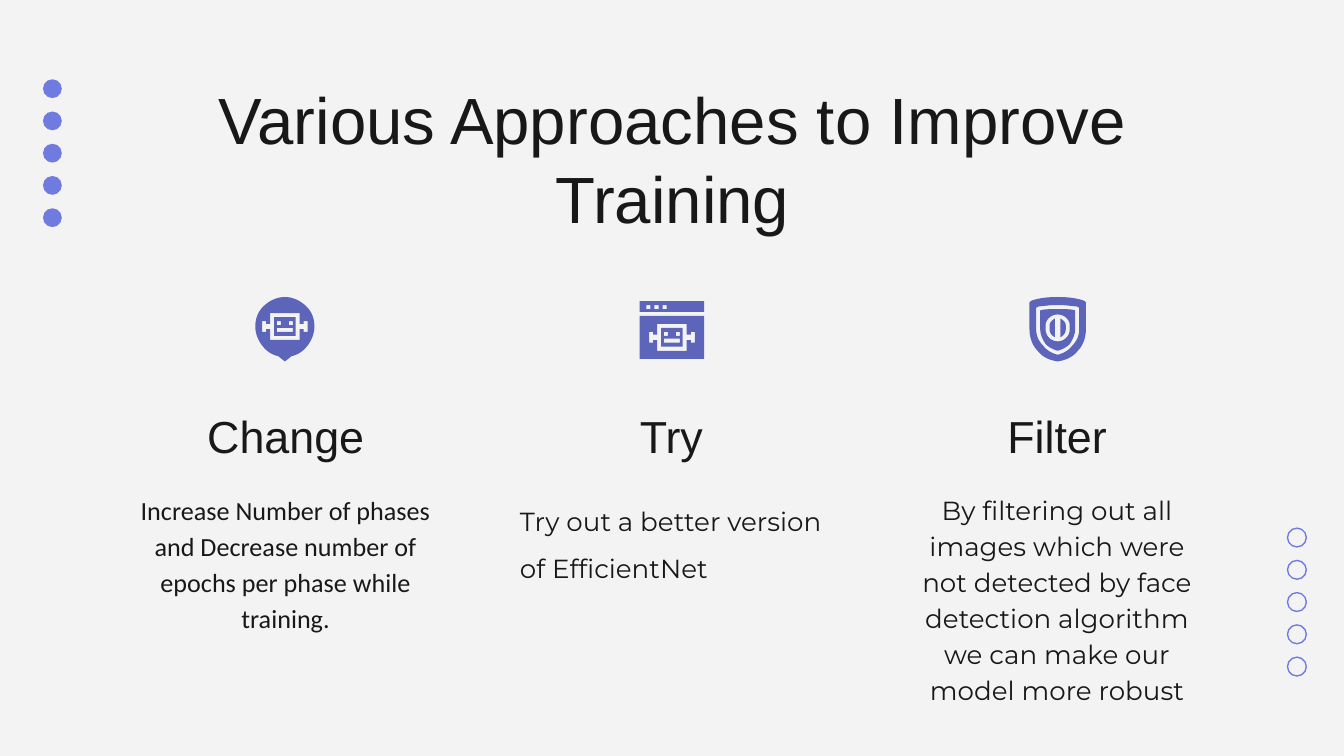
"""Build the slide on approaches to improve training."""
from pptx import Presentation
from pptx import util as u
from pptx.dml.color import RGBColor
from pptx.enum import shapes, text

COLORS = {"background": "F3F3F3", "ink": "181818", "dot": "707BE0", "icon": "5D65BB"}
COLUMN_LEFT, COLUMN_STEP, COLUMN_WIDTH = 0.9, 2.87, 2.45
DOT_SIZE, DOT_STEP = 0.14, 0.24
CENTER, LEFT = text.PP_ALIGN.CENTER, text.PP_ALIGN.LEFT
TOP, BOTTOM = text.MSO_ANCHOR.TOP, text.MSO_ANCHOR.BOTTOM

COLUMNS = [
    ("Change", "Increase Number of phases and Decrease number of epochs per phase while training.",
     "Calibri", CENTER, 1.15),
    ("Try", "Try out a better version of EfficientNet", "Montserrat", LEFT, 1.5),
    ("Filter", "By filtering out all images which were not detected by face detection "
     "algorithm we can make our model more robust", "Montserrat", CENTER, 1.15),
]

ROBOT_HALF = [(0, -0.1), (0.11, -0.1), (0.11, -0.02), (0.14, -0.02), (0.14, -0.04),
              (0.17, -0.04), (0.17, 0.04), (0.14, 0.04), (0.14, 0.02), (0.11, 0.02),
              (0.11, 0.1), (0, 0.1)]
BUBBLE_HALF = [(0, -0.22), (0.06, -0.22, 0.12, -0.19, 0.16, -0.15),
               (0.2, -0.11, 0.22, -0.06, 0.22, 0), (0.22, 0.05, 0.2, 0.1, 0.17, 0.14),
               (0.14, 0.18, 0.1, 0.21, 0.05, 0.22), (0, 0.26)]
SHIELD_HALF = [(0, -0.24), (0.14, -0.24, 0.2, -0.21, 0.2, -0.21), (0.21, -0.2), (0.21, 0),
               (0.21, 0.06, 0.19, 0.12, 0.15, 0.16), (0.11, 0.21, 0.06, 0.23, 0, 0.24)]
RIM_HALF = [(0, -0.18), (0.07, -0.18, 0.12, -0.17, 0.14, -0.17), (0.16, -0.16), (0.16, 0),
            (0.16, 0.05, 0.14, 0.09, 0.11, 0.12), (0.08, 0.16, 0.04, 0.18, 0, 0.19)]
PLATE_HALF = [(0, -0.15), (0.06, -0.15, 0.1, -0.15, 0.13, -0.14), (0.13, 0),
              (0.13, 0.04, 0.11, 0.08, 0.09, 0.11), (0.07, 0.13, 0.04, 0.15, 0, 0.16)]
RING_HALF = [(0, -0.11), (0.05, -0.11, 0.09, -0.07, 0.09, -0.03), (0.09, 0),
             (0.09, 0.05, 0.05, 0.09, 0, 0.09)]
COIN_SIDE = [(0.02, -0.08), (0.02, 0.06), (0.04, 0.05, 0.06, 0.03, 0.06, 0), (0.06, -0.03),
             (0.06, -0.05, 0.04, -0.07, 0.02, -0.08)]


def color(name):
    """Return a palette colour."""
    return RGBColor.from_string(COLORS[name])


def trace(steps, samples=10):
    """Turn points and cubic curves into a list of points."""
    points = []
    for step in steps:
        if len(step) == 2:
            points.append(step)
            continue
        start = points[-1]
        for index in range(1, samples + 1):
            t = index / samples
            s = 1 - t
            points.append(tuple(
                s**3 * start[axis] + 3 * s * s * t * step[axis]
                + 3 * s * t * t * step[axis + 2] + t**3 * step[axis + 4]
                for axis in (0, 1)))
    return points


def mirror(points):
    """Reflect points across the vertical axis."""
    return [(-x, y) for x, y in reversed(points)]


def symmetric(half):
    """Close a right half with its reflection."""
    points = trace(half)
    return points + mirror(points)


def box(left, top, right, bottom):
    """Return the corners of a rectangle."""
    return [(left, top), (right, top), (right, bottom), (left, bottom)]


def add_outline(slide, center, *contours):
    """Draw a filled outline whose inner contours are holes."""
    placed = [[(u.Inches(center[0] + x), u.Inches(center[1] + y)) for x, y in contour]
              for contour in contours]
    builder = slide.shapes.build_freeform(*placed[0][0], scale=1.0)
    for index, contour in enumerate(placed):
        if index:
            builder.move_to(*contour[0])
        builder.add_line_segments(contour[1:], close=True)
    shape = builder.convert_to_shape()
    shape.shadow.inherit = False
    shape.fill.solid()
    shape.fill.fore_color.rgb = color("icon")
    shape.line.fill.background()


def add_robot_face(slide, center):
    """Draw the robot face with its eyes and mouth cut out."""
    add_outline(slide, center, box(-0.08, -0.07, 0.08, 0.07), box(-0.06, -0.04, -0.03, -0.01),
                box(0.03, -0.04, 0.06, -0.01), box(-0.06, 0.01, 0.06, 0.04))


def add_bubble_icon(slide, center):
    """Draw a speech bubble holding a robot."""
    add_outline(slide, center, symmetric(BUBBLE_HALF), symmetric(ROBOT_HALF))
    add_robot_face(slide, center)


def add_window_icon(slide, center):
    """Draw a browser window holding a robot."""
    buttons = [box(x, -0.24, x + 0.03, -0.21) for x in (-0.19, -0.13, -0.07)]
    add_outline(slide, center, box(-0.24, -0.27, 0.24, -0.19), *buttons)
    add_outline(slide, center, box(-0.24, -0.16, 0.24, 0.16), symmetric(ROBOT_HALF))
    add_robot_face(slide, center)


def add_shield_icon(slide, center):
    """Draw a shield with a split coin."""
    add_outline(slide, center, symmetric(SHIELD_HALF), symmetric(RIM_HALF))
    add_outline(slide, center, symmetric(PLATE_HALF), symmetric(RING_HALF))
    side = trace(COIN_SIDE)
    for half in (side, mirror(side)):
        add_outline(slide, center, half)


def add_dots(slide, left, top, filled):
    """Draw a column of five dots."""
    for index in range(5):
        shape = slide.shapes.add_shape(
            shapes.MSO_SHAPE.OVAL, u.Inches(left), u.Inches(top + index * DOT_STEP),
            u.Inches(DOT_SIZE), u.Inches(DOT_SIZE))
        shape.shadow.inherit = False
        if filled:
            shape.fill.solid()
            shape.fill.fore_color.rgb = color("dot")
            shape.line.fill.background()
        else:
            shape.fill.background()
            shape.line.color.rgb = color("dot")
            shape.line.width = u.Pt(0.75)


def add_text(slide, bounds, words, size, font, align=CENTER, spacing=1.15, anchor=TOP):
    """Add a wrapped text box with one paragraph."""
    frame = slide.shapes.add_textbox(*map(u.Inches, bounds)).text_frame
    frame.word_wrap = True
    frame.vertical_anchor = anchor
    frame.margin_left = frame.margin_right = u.Inches(0.1)
    frame.margin_top = frame.margin_bottom = u.Inches(0.1)
    paragraph = frame.paragraphs[0]
    paragraph.text = words
    paragraph.alignment = align
    paragraph.line_spacing = spacing
    paragraph.font.size = u.Pt(size)
    paragraph.font.name = font
    paragraph.font.color.rgb = color("ink")


def main():
    """Build and save the slide."""
    presentation = Presentation()
    presentation.slide_width = u.Inches(10)
    presentation.slide_height = u.Inches(10) * 9 // 16
    slide = presentation.slides.add_slide(presentation.slide_layouts[6])
    slide.background.fill.solid()
    slide.background.fill.fore_color.rgb = color("background")

    add_dots(slide, 9.58, 3.93, filled=False)
    add_dots(slide, 0.32, 0.59, filled=True)
    add_text(slide, (0.79, 0.49, 8.43, 0.63), "Various Approaches to Improve Training",
             35, "Arial", spacing=1.0)
    for index, (heading, body, font, align, spacing) in enumerate(COLUMNS):
        left = COLUMN_LEFT + index * COLUMN_STEP
        add_text(slide, (left, 3.54, COLUMN_WIDTH, 1.11), body, 14, font, align, spacing)
        add_text(slide, (left, 2.82, COLUMN_WIDTH, 0.72), heading, 24, "Arial", anchor=BOTTOM)

    add_shield_icon(slide, (7.87, 2.45))
    add_window_icon(slide, (5, 2.51))
    add_bubble_icon(slide, (2.12, 2.43))
    presentation.save("out.pptx")


if __name__ == "__main__":
    main()
